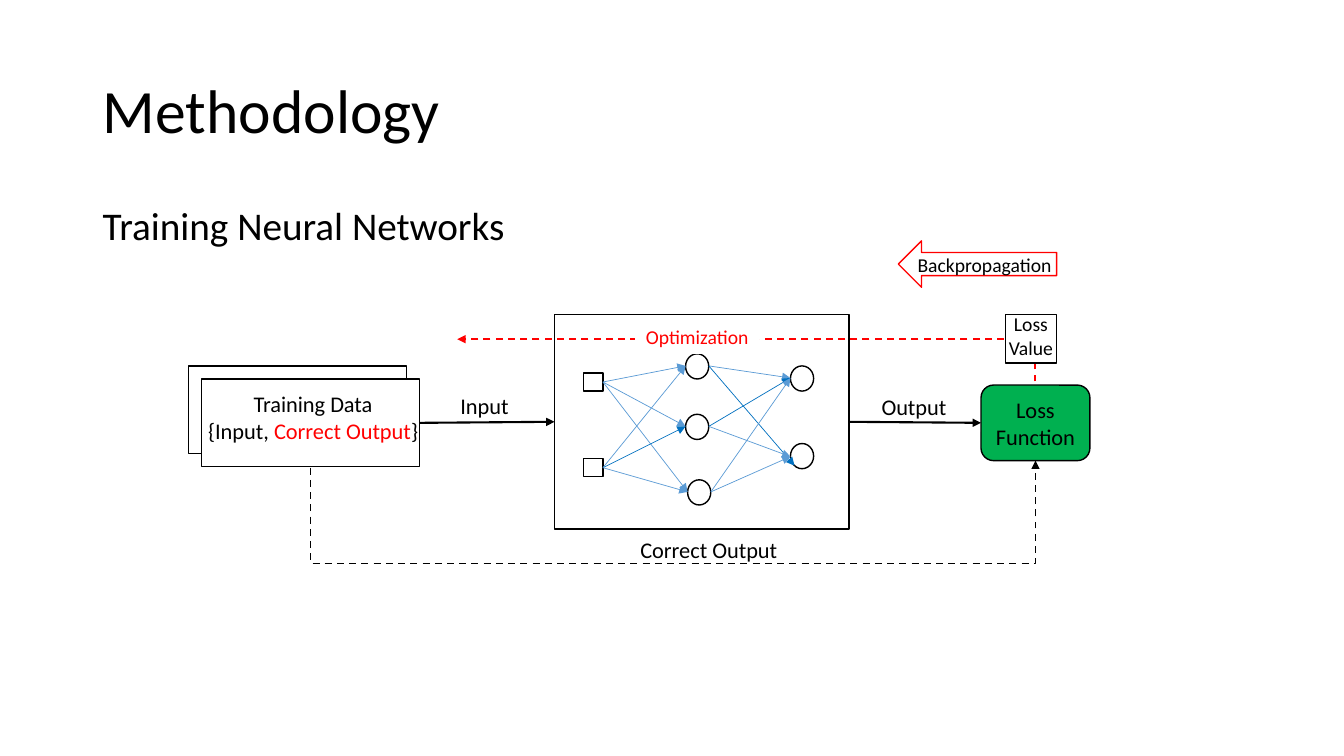
import pptx
import pptx.util
import pptx.dml.color
import pptx.enum.dml
import pptx.enum.shapes
import pptx.enum.text
import pptx.oxml.ns
import lxml.etree

Inches = pptx.util.Inches
Pt = pptx.util.Pt
RGBColor = pptx.dml.color.RGBColor
SHAPE = pptx.enum.shapes.MSO_SHAPE
CONNECTOR = pptx.enum.shapes.MSO_CONNECTOR
CENTER = pptx.enum.text.PP_ALIGN.CENTER
qn = pptx.oxml.ns.qn

BLACK = RGBColor(0x00, 0x00, 0x00)
WHITE = RGBColor(0xFF, 0xFF, 0xFF)
RED = RGBColor(0xFF, 0x00, 0x00)
GREEN = RGBColor(0x00, 0xB0, 0x50)
LIGHT_BLUE = RGBColor(0x5B, 0x9B, 0xD5)
BLUE = RGBColor(0x00, 0x70, 0xC0)

presentation = pptx.Presentation()
presentation.slide_width = Inches(13.33)
presentation.slide_height = Inches(7.5)
slide = presentation.slides.add_slide(presentation.slide_layouts[5])
shapes = slide.shapes


def add_box(kind, left, top, width, height, line=BLACK, fill=None):
    box = shapes.add_shape(kind, Inches(left), Inches(top), Inches(width), Inches(height))
    box.shadow.inherit = False
    if fill is None:
        box.fill.background()
    else:
        box.fill.solid()
        box.fill.fore_color.rgb = fill
    box.line.color.rgb = line
    box.line.width = Pt(1)
    return box


def add_arrow(kind, start, end, color, width):
    arrow = shapes.add_connector(kind, *[Inches(value) for value in start + end])
    arrow.line.color.rgb = color
    arrow.line.width = Pt(width)
    properties = arrow._element.spPr
    lxml.etree.SubElement(properties.find(qn("a:ln")), qn("a:tailEnd"), type="triangle")
    lxml.etree.SubElement(properties, qn("a:effectLst"))
    return arrow


# Title and subtitle
title = shapes.title
title.left, title.top = Inches(0.92), Inches(0.4)
title.width, title.height = Inches(11.5), Inches(1.45)
subtitle = shapes.add_textbox(Inches(0.92), Inches(2), Inches(11.5), Inches(0.6))
subtitle.text_frame.word_wrap = True
for heading, wording, size in [(title, "Methodology", 44),
                               (subtitle, "Training Neural Networks", 28)]:
    heading.text_frame.text = wording
    heading.text_frame.vertical_anchor = (
        pptx.enum.text.MSO_ANCHOR.MIDDLE if heading is title else pptx.enum.text.MSO_ANCHOR.TOP)
    paragraph = heading.text_frame.paragraphs[0]
    paragraph.alignment = pptx.enum.text.PP_ALIGN.LEFT
    paragraph.line_spacing = 0.9
    paragraph.font.name = "Calibri"
    paragraph.font.size = Pt(size)
    paragraph.font.color.rgb = BLACK

# Network frame and stacked training data
network = add_box(SHAPE.RECTANGLE, 5.5, 3.12, 2.92, 2.13)
add_box(SHAPE.RECTANGLE, 1.87, 3.63, 2.16, 0.87)
training_data = add_box(SHAPE.RECTANGLE, 2, 3.76, 2.16, 0.87, fill=WHITE)

# Neurons
for left, top in [(6.8, 3.51), (7.84, 3.63), (7.84, 4.4), (6.82, 4.76), (6.8, 4.11)]:
    add_box(SHAPE.OVAL, left, top, 0.23, 0.25)
inputs = [add_box(SHAPE.RECTANGLE, 5.79, top, 0.19, 0.18) for top in (3.7, 4.55)]

# Weights from inputs to the hidden layer
hidden = [(6.8, 3.63), (6.8, 4.23), (6.82, 4.88)]
for input_index, input_node in enumerate(inputs):
    for hidden_index, hidden_left in enumerate(hidden):
        color = BLUE if (input_index, hidden_index) == (1, 1) else LIGHT_BLUE
        weight = add_arrow(CONNECTOR.STRAIGHT, (5.98, 3.79), hidden_left, color, 0.5)
        weight.begin_connect(input_node, 3)

# Weights from the hidden layer to the output layer
for start, end, color in [
    ((7.03, 3.63), (7.84, 3.75), LIGHT_BLUE),
    ((7.03, 3.63), (7.88, 4.62), BLUE),
    ((7.03, 4.23), (7.84, 3.75), BLUE),
    ((7.03, 4.23), (7.84, 4.53), LIGHT_BLUE),
    ((7.05, 4.88), (7.84, 4.53), LIGHT_BLUE),
    ((7.05, 4.88), (7.84, 3.75), LIGHT_BLUE),
]:
    add_arrow(CONNECTOR.STRAIGHT, start, end, color, 0.5)

# Backpropagation arrow and loss function
add_box(SHAPE.LEFT_ARROW, 8.91, 2.39, 1.57, 0.46, line=RED)
loss_function = add_box(SHAPE.ROUNDED_RECTANGLE, 9.73, 3.82, 1.08, 0.75, fill=GREEN)

# Dashed elbows, given by their corners before rotation
for start, end, color, degrees, preset, bend in [
    ((6.71, 8.2), (6.64, 1.01), BLACK, 90, "bentConnector3", -13.57),
    ((7.19, 1.13 + 5.31), (7.61, 0.71), RED, 270, "bentConnector2", None),
]:
    elbow = add_arrow(CONNECTOR.ELBOW, start, end, color, 1.25)
    elbow.line.dash_style = pptx.enum.dml.MSO_LINE.DASH
    properties = elbow._element.spPr
    properties.find(qn("a:xfrm")).set("rot", str(degrees * 60000))
    geometry = properties.find(qn("a:prstGeom"))
    geometry.set("prst", preset)
    if bend is not None:
        lxml.etree.SubElement(geometry.find(qn("a:avLst")), qn("a:gd"),
                              name="adj1", fmla=f"val {round(bend * 100000)}")

# Loss value and the main flow
add_box(SHAPE.RECTANGLE, 9.97, 3.12, 0.51, 0.48, fill=WHITE)
for source, target in [(training_data, network), (network, loss_function)]:
    flow = add_arrow(CONNECTOR.STRAIGHT, (4.16, 4.2), (5.5, 4.18), BLACK, 1.5)
    flow.begin_connect(source, 3)
    flow.end_connect(target, 1)

# Labels: each line is a list of (text, colour) runs
for left, top, width, height, size, lines in [
    (1.95, 3.82, 2.31, 0.64, 16, [[("Training Data", BLACK)],
                                  [("{Input, ", BLACK), ("Correct Output", RED), ("}", BLACK)]]),
    (9.77, 3.88, 1, 0.64, 16, [[("Loss", BLACK)], [("Function", BLACK)]]),
    (4.46, 3.84, 0.69, 0.37, 16, [[("Input", BLACK)]]),
    (8.64, 3.85, 0.85, 0.37, 16, [[("Output", BLACK)]]),
    (6.24, 5.27, 1.58, 0.37, 16, [[("Correct Output", BLACK)]]),
    (9.9, 3.05, 0.65, 0.57, 14, [[("Loss", BLACK)], [("Value", BLACK)]]),
    (6.3, 3.17, 1.23, 0.34, 14, [[("Optimization", RED)]]),
    (8.99, 2.46, 1.55, 0.34, 14, [[("Backpropagation", BLACK)]]),
]:
    label = shapes.add_textbox(Inches(left), Inches(top), Inches(width), Inches(height))
    if lines[0][0][0] == "Optimization":
        label.fill.solid()
        label.fill.fore_color.rgb = WHITE
    frame = label.text_frame
    frame.word_wrap = False
    for index, runs in enumerate(lines):
        paragraph = frame.paragraphs[0] if index == 0 else frame.add_paragraph()
        paragraph.alignment = CENTER
        paragraph.font.name = "Calibri"
        paragraph.font.size = Pt(size)
        for wording, color in runs:
            run = paragraph.add_run()
            run.text = wording
            run.font.color.rgb = color

presentation.save("out.pptx")
